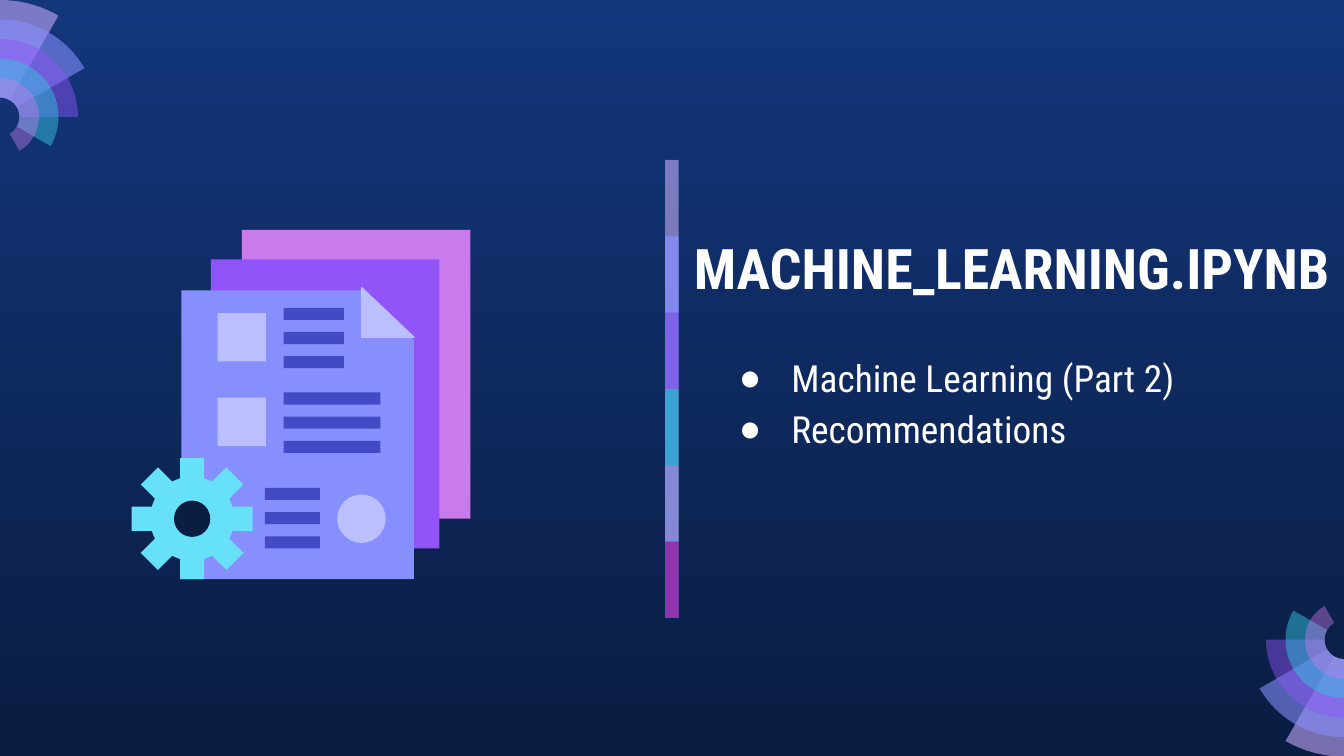
from math import cos, radians, sin, tan

from pptx import Presentation
from pptx.dml.color import RGBColor
from pptx.enum.shapes import MSO_SHAPE
from pptx.enum.text import MSO_ANCHOR, MSO_AUTO_SIZE, PP_ALIGN
from pptx.oxml.ns import qn
from pptx.util import Inches, Pt
from lxml import etree

RECT, OVAL = MSO_SHAPE.RECTANGLE, MSO_SHAPE.OVAL
TOP, NO_FIT = MSO_ANCHOR.TOP, MSO_AUTO_SIZE.NONE
LEFT, CENTER = PP_ALIGN.LEFT, PP_ALIGN.CENTER
TITLE_ONLY = 5
COLS = 100  # square cells, so rows share the column size

WHITE, NAVY, BLUE = "FFFFFF", "0A1D42", "13367C"
LILAC, PERIWINKLE, VIOLET = "C8ACFD", "878FFF", "9154F8"
TEAL, ORCHID, PURPLE = "35C2DF", "CA7BEB", "972CB4"
PALE, INDIGO, CYAN = "BBBFFF", "424BC4", "67E0F9"


def rgb(value):
    return RGBColor.from_string(value)


def polar(center, radius, degrees):
    """Point at an angle measured clockwise from straight up."""
    a = radians(degrees)
    return center[0] + radius * sin(a), center[1] - radius * cos(a)


def arc(center, radius, angles):
    """Start point, then two control points and an end point per piece."""
    points = [polar(center, radius, angles[0])]
    for a, b in zip(angles, angles[1:]):
        end = polar(center, radius, b)
        reach = radius * 4 / 3 * tan(radians(b - a) / 4)
        points += [polar(points[-1], reach, a + 90), polar(end, -reach, b + 90), end]
    return points


class Deck:
    font = "Roboto Condensed"

    def __init__(self):
        self.prs = Presentation()
        self.prs.slide_width, self.prs.slide_height = Pt(720), Pt(405)
        self.cell = self.prs.slide_width // COLS
        self.s = self.prs.slides.add_slide(self.prs.slide_layouts[TITLE_ONLY])

    def box(self, *lengths):
        return [round(v * self.cell) for v in lengths]

    def background(self, *colors):
        fill = self.s.background.fill
        fill.gradient()
        fill.gradient_angle = 270
        for stop, color in zip(fill.gradient_stops, colors):
            stop.color.rgb = rgb(color)

    def paint(self, sp, color, alpha=100, line=None):
        sp.shadow.inherit = False
        sp.fill.solid()
        sp.fill.fore_color.rgb = rgb(color)
        if alpha < 100:
            clr = sp._element.spPr.find(".//" + qn("a:srgbClr"))
            etree.SubElement(clr, qn("a:alpha"), val=str(alpha * 1000))
        if line:
            sp.line.color.rgb, sp.line.width = rgb(line), Pt(0.75)
        else:
            sp.line.fill.background()

    def shape(self, kind, x, y, w, h, color, alpha=100):
        sp = self.s.shapes.add_shape(kind, *self.box(x, y, w, h))
        self.paint(sp, color, alpha)

    def polygon(self, points, color, alpha=100, line=None, curves=()):
        """Outline; each index in curves turns three segments into one curve."""
        points = [self.box(*point) for point in points]
        fb = self.s.shapes.build_freeform(*points[0])
        fb.add_line_segments(points[1:], close=True)
        sp = fb.convert_to_shape()
        segments = sp._element.findall(".//" + qn("a:lnTo"))
        for i in curves:
            curve = segments[i]
            curve.tag = qn("a:cubicBezTo")
            for segment in segments[i + 1:i + 3]:
                curve.append(segment[0])
                segment.getparent().remove(segment)
        self.paint(sp, color, alpha, line)

    def fan(self, center, turn, rings):
        """Rings that shrink by one step as their sweep grows by 30 degrees."""
        step = 1.45
        for i, (color, alpha) in enumerate(rings):
            sweep = 30 * (i + 1)
            angles = [turn + a for a in sorted({0, min(sweep, 90), sweep})]
            outer = arc(center, step * (6 - i), angles)
            inner = arc(center, step, angles[::-1])
            n = len(outer)
            curves = [*range(0, n - 1, 3), *range(n, 2 * n - 1, 3)]
            self.polygon(outer + inner, color, alpha, curves=curves)

    def gear(self, center, color, teeth=8):
        points = []
        pitch = 360 / teeth
        for i in range(teeth):
            angle = i * pitch
            for across, out in ((-0.9, 3), (-0.9, 4.5), (0.9, 4.5), (0.9, 3)):
                points.append(polar(polar(center, out, angle), across, angle + 90))
            points.append(polar(center, 3.13, angle + pitch / 2))
        self.polygon(points, color)

    def text(self, sp, box, lines, size, bold=False, align=LEFT, bullets=False):
        sp.left, sp.top, sp.width, sp.height = self.box(*box)
        tf = sp.text_frame
        tf.text = "\n".join(lines)
        frame = dict.fromkeys(
            ("margin_left", "margin_top", "margin_right", "margin_bottom"), Inches(0.1))
        frame |= {"word_wrap": True, "vertical_anchor": TOP, "auto_size": NO_FIT}
        for name, value in frame.items():
            setattr(tf, name, value)
        for p in tf.paragraphs:
            p.alignment = align
            for name, value in {"name": self.font, "size": Pt(size), "bold": bold}.items():
                setattr(p.runs[0].font, name, value)
            p.runs[0].font.color.rgb = rgb(WHITE)
            if bullets:
                p.line_spacing = 1.15
                self.bullet(p)

    def bullet(self, p):
        pPr = p._p.get_or_add_pPr()
        pPr.set("marL", str(Inches(0.5)))
        pPr.set("indent", str(Inches(-0.39)))
        clr = etree.SubElement(pPr, qn("a:buClr"))
        etree.SubElement(clr, qn("a:srgbClr"), val=WHITE)
        etree.SubElement(pPr, qn("a:buFont"), typeface="Arial")
        etree.SubElement(pPr, qn("a:buChar"), char="●")

    def title(self, box, line, size):
        self.text(self.s.shapes.title, box, [line], size, bold=True, align=CENTER)

    def bullet_list(self, box, lines, size):
        sp = self.s.shapes.add_textbox(*self.box(*box))
        self.text(sp, box, lines, size, bullets=True)


def main():
    deck = Deck()
    deck.background(BLUE, NAVY)

    # Corner fans
    rings = [(LILAC, 58), (PERIWINKLE, 58), (VIOLET, 46), (TEAL, 49), (ORCHID, 42)]
    deck.fan((100, 47.6), 180, rings)
    deck.fan((0, 8.7), 0, rings)

    # Divider: each band runs on beneath the next one
    bands = [("C8AEF8", 59), (PERIWINKLE, 74), (VIOLET, 53),
             (TEAL, 76), (ORCHID, 56), (PURPLE, 74)]
    band = 5.68
    for i, (color, alpha) in enumerate(bands):
        height = band if i == len(bands) - 1 else 2 * band
        deck.shape(RECT, 49.5, 11.9 + i * band, 1, height, color, alpha)

    # Title and list
    deck.title((50.6, 16.4, 49.4, 15.2), "MACHINE_LEARNING.IPYNB", 30)
    deck.bullet_list((52.9, 24.9, 60.4, 13.8),
                     ["Machine Learning (Part 2)", "Recommendations"], 20)

    # Stacked pages with a folded corner
    deck.shape(RECT, 18, 17.1, 17, 21.5, ORCHID)
    deck.shape(RECT, 15.7, 19.3, 17, 21.5, VIOLET)
    deck.polygon([(13.5, 21.6), (13.5, 43.1), (30.8, 43.1), (30.8, 25.3), (27.2, 21.6)],
                 PERIWINKLE)
    deck.polygon([(26.9, 21.4), (26.9, 25.1), (30.8, 25.1)], PALE, line=PALE)

    # Page content: thumbnails and groups of three text bars
    for kind, x, y in ((RECT, 16.2, 23.3), (RECT, 16.2, 29.6), (OVAL, 25.1, 36.8)):
        deck.shape(kind, x, y, 3.6, 3.6, PALE)
    for x, y, width in ((21.1, 22.9, 4.5), (21.1, 29.2, 7.2), (19.7, 36.3, 4.1)):
        for row in range(3):
            deck.shape(RECT, x, y + 1.8 * row, width, 0.9, INDIGO)

    # Gear
    deck.gear((14.3, 38.6), CYAN)
    deck.shape(OVAL, 12.95, 37.25, 2.7, 2.7, NAVY)

    deck.prs.save("out.pptx")


if __name__ == "__main__":
    main()
